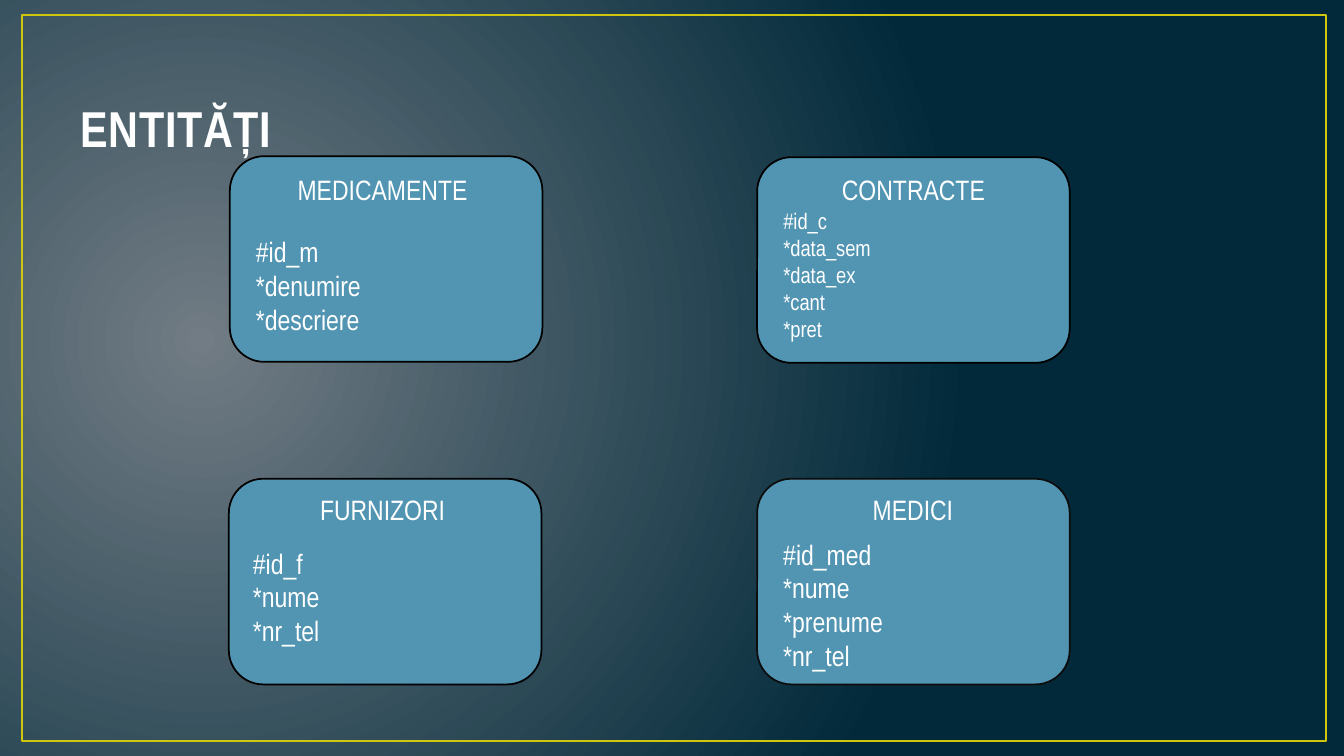
"""Build the slide of four database entities and their fields."""
from lxml.etree import SubElement
from pptx import Presentation
from pptx.dml.color import RGBColor as RGB
from pptx.enum.shapes import MSO_SHAPE as SHAPE
from pptx.enum.text import MSO_ANCHOR as ANCHOR, PP_ALIGN as ALIGN
from pptx.oxml.ns import qn
from pptx.util import Pt

PX = 9144
FONT = "Arial Narrow"
HUES = {"glow": "717C84", "night": "01293A", "frame": "CFC60D", "card": "5295B2",
        "edge": "000000", "soft": "0D0D0D", "head": "FEFEFE", "text": "FFFFFF"}


def add_box(kind, spot, fill, line, width):
    box = slide.shapes.add_shape(kind, *[n * PX for n in spot])
    box.shadow.inherit = False
    if fill:
        box.fill.solid()
        box.fill.fore_color.rgb = RGB.from_string(HUES[fill])
    else:
        box.fill.background()
    box.line.color.rgb = RGB.from_string(HUES[line])
    box.line.width = Pt(width)


def add_text(spot, text, size, align=ALIGN.LEFT, hue="text"):
    frame = slide.shapes.add_textbox(*[n * PX for n in spot]).text_frame
    frame.word_wrap = True
    frame.text = text
    for para in frame.paragraphs:
        para.alignment = align
        for run in para.runs:
            run.font.size = Pt(size)
            run.font.name = FONT
            run.font.color.rgb = RGB.from_string(HUES[hue])
    return frame


deck = Presentation()
deck.slide_width, deck.slide_height = 1333 * PX, 750 * PX
slide = deck.slides.add_slide(deck.slide_layouts[6])

back = slide.background.fill
back.gradient()
for stop, hue, place in zip(back.gradient_stops, ("glow", "night"), (0, 1)):
    stop.color.rgb = RGB.from_string(HUES[hue])
    stop.position = place
grad = slide.element.find(".//" + qn("a:gradFill"))
grad.remove(grad.find(qn("a:lin")))
round_fill = SubElement(grad, qn("a:path"), {"path": "circle"})
SubElement(round_fill, qn("a:fillToRect"),
           {"l": "15000", "t": "50000", "r": "85000", "b": "60000"})

add_box(SHAPE.RECTANGLE, (22, 15, 1293, 720), None, "frame", 1.5)
title = add_text((70, -4, 933, 165), "ENTITĂȚI", 36, hue="head")
title.vertical_anchor = ANCHOR.BOTTOM
font = title.paragraphs[0].runs[0].font
font.bold = True
font._element.set("spc", "50")

CARDS = [
    ("MEDICAMENTE", (228, 155), (268, 166, 223, 44), "edge",
     ["#id_m", "*denumire", "*descriere"], (244, 228, 201, 111), 20),
    ("FURNIZORI", (227, 475), (285, 484, 189, 44), "edge",
     ["#id_f", "*nume", "*nr_tel"], (241, 537, 141, 111), 20),
    ("CONTRACTE", (751, 156), (815, 166, 182, 44), "edge",
     ["#id_c", "*data_sem", "*data_ex", "*cant", "*pret"], (767, 201, 165, 175), 16),
    ("MEDICI", (751, 475), (827, 484, 157, 44), "soft",
     ["#id_med", "*nume", "*prenume", "*nr_tel"], (767, 528, 216, 175), 20),
]
for name, spot, top, line, fields, area, size in CARDS:
    add_box(SHAPE.ROUNDED_RECTANGLE, (*spot, 310, 204), "card", line, 1.25)
    add_text(top, name, 20, ALIGN.CENTER)
    add_text(area, "\n".join(fields), size)

deck.save("out.pptx")
